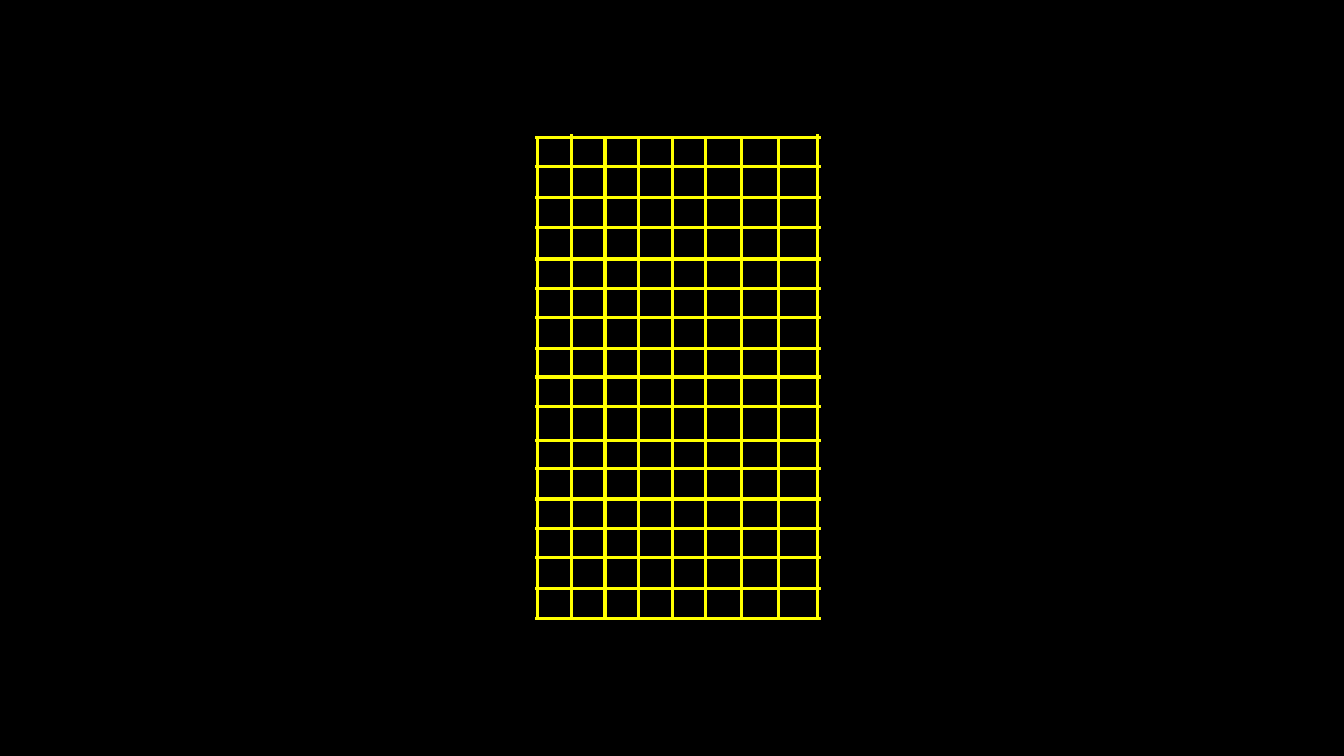
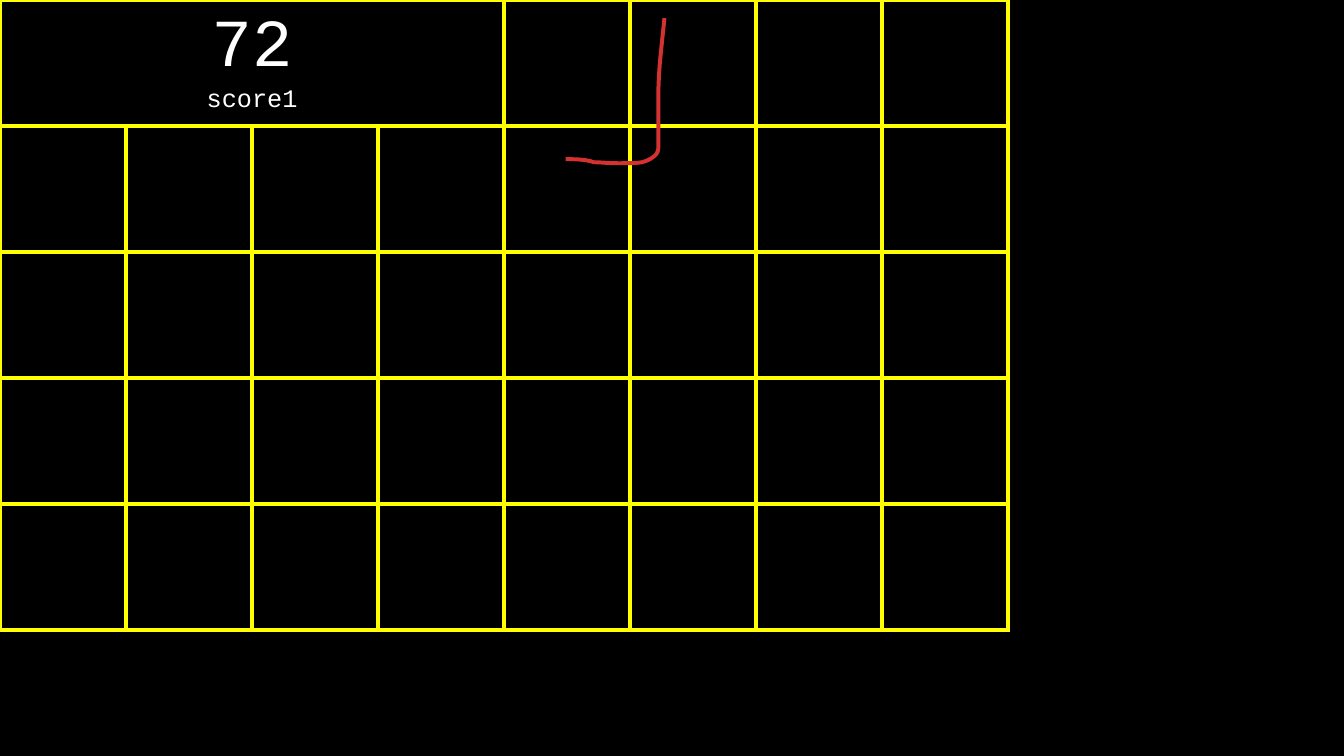
from lxml import etree
from pptx import Presentation
from pptx.dml.color import RGBColor
from pptx.enum.shapes import MSO_CONNECTOR
from pptx.enum.text import MSO_ANCHOR, PP_ALIGN
from pptx.oxml.ns import qn
from pptx.util import Inches, Pt

BLACK = RGBColor(0x00, 0x00, 0x00)
WHITE = RGBColor(0xFF, 0xFF, 0xFF)
YELLOW = RGBColor(0xFF, 0xFF, 0x00)
RED = RGBColor(0xD4, 0x32, 0x30)
FONT = "Courier New"
NO_TABLE_STYLE = "{2D5ABB26-0587-4C30-8999-92F81FD0307C}"

GRID_COLUMNS = [5.33, 5.67, 6, 6.33, 6.67, 7, 7.35, 7.72, 8.11]
GRID_ROWS = [1.36, 1.65, 1.96, 2.26, 2.57, 2.86, 3.15, 3.46, 3.74,
             4.03, 4.37, 4.65, 4.95, 5.24, 5.53, 5.84, 6.14]
GRID_LEFT, GRID_RIGHT = 5.31, 8.14
GRID_TOP, GRID_BOTTOM = 1.35, 6.15
RAISED_COLUMNS = {5.67: 0.02, 8.11: 0.02}

CELL = 1.25
BOARD_COLUMNS, BOARD_ROWS, SCORE_SPAN = 8, 5, 4

STROKE_START = (6.59, 0.18)
STROKE_CURVES = [
    ((6.58, 0.29), (6.55, 0.55), (6.54, 0.69)),
    ((6.53, 0.84), (6.53, 0.92), (6.53, 0.99)),
    ((6.53, 1.08), (6.53, 1.2), (6.53, 1.26)),
    ((6.53, 1.34), (6.53, 1.4), (6.53, 1.47)),
    ((6.53, 1.53), (6.47, 1.58), (6.37, 1.61)),
    ((6.3, 1.62), (6.22, 1.62), (6.14, 1.62)),
    ((6.04, 1.62), (5.95, 1.61), (5.89, 1.61)),
    ((5.84, 1.59), (5.75, 1.58), (5.67, 1.58)),
]
STROKE_END = (5.61, 1.58)


def bezier_points(start, curves, steps=8):
    """Sample a chain of cubic curves, leaving out its start point."""
    points = []
    for first, second, end in curves:
        for step in range(1, steps + 1):
            t = step / steps
            u = 1 - t
            points.append(tuple(
                u**3 * a + 3 * u * u * t * b + 3 * u * t * t * c + t**3 * d
                for a, b, c, d in zip(start, first, second, end)))
        start = end
    return points


class SlideWriter:
    def __init__(self):
        self.deck = Presentation()
        self.deck.slide_width = Inches(13.33)
        self.deck.slide_height = Inches(7.5)
        self.page = None

    def new_page(self):
        self.page = self.deck.slides.add_slide(self.deck.slide_layouts[6])
        fill = self.page.background.fill
        fill.solid()
        fill.fore_color.rgb = BLACK

    def line(self, x1, y1, x2, y2, color=YELLOW, width=2.25):
        connector = self.page.shapes.add_connector(
            MSO_CONNECTOR.STRAIGHT, Inches(x1), Inches(y1), Inches(x2), Inches(y2))
        connector.line.color.rgb = color
        connector.line.width = Pt(width)
        etree.SubElement(connector._element.spPr, qn("a:effectLst"))

    def stroke(self, start, points, color, width):
        """Draw an open, unfilled freehand line."""
        builder = self.page.shapes.build_freeform(*map(Inches, start))
        builder.add_line_segments(
            [(Inches(x), Inches(y)) for x, y in points], close=False)
        shape = builder.convert_to_shape()
        shape.shadow.inherit = False
        shape.fill.background()
        shape.line.color.rgb = color
        shape.line.width = Pt(width)

    def board(self, rows, columns, size):
        """Add a table of square, unfilled cells with coloured borders."""
        frame = self.page.shapes.add_table(
            rows, columns, 0, 0, Inches(columns * size), Inches(rows * size))
        table = frame.table
        table.first_row = table.horz_banding = False
        table._tbl.tblPr.find(qn("a:tableStyleId")).text = NO_TABLE_STYLE
        for cell in table.iter_cells():
            cell.fill.background()
            self.cell_borders(cell, YELLOW, 3)
        return table

    def cell_borders(self, cell, color, width):
        properties = cell._tc.get_or_add_tcPr()
        for index, side in enumerate(("lnL", "lnR", "lnT", "lnB")):
            border = etree.Element(qn(f"a:{side}"), w=str(Pt(width)))
            fill = etree.SubElement(border, qn("a:solidFill"))
            etree.SubElement(fill, qn("a:srgbClr"), val=str(color))
            properties.insert(index, border)

    def cell_text(self, cell, lines):
        cell.vertical_anchor = MSO_ANCHOR.MIDDLE
        cell.margin_left = cell.margin_right = Inches(0.1)
        cell.margin_top = cell.margin_bottom = Inches(0.1)
        frame = cell.text_frame
        for index, (text, size) in enumerate(lines):
            para = frame.add_paragraph() if index else frame.paragraphs[0]
            para.alignment = PP_ALIGN.CENTER
            span = para.add_run()
            span.text = text
            span.font.name = FONT
            span.font.size = Pt(size)
            span.font.color.rgb = WHITE


def add_grid_page(writer):
    writer.new_page()
    for x in GRID_COLUMNS:
        raised = RAISED_COLUMNS.get(x, 0)
        writer.line(x, GRID_TOP - raised, x, GRID_BOTTOM - raised)
    for y in GRID_ROWS:
        writer.line(GRID_LEFT, y, GRID_RIGHT, y)


def add_score_page(writer):
    writer.new_page()
    table = writer.board(BOARD_ROWS, BOARD_COLUMNS, CELL)
    score = table.cell(0, 0)
    score.merge(table.cell(0, SCORE_SPAN - 1))
    writer.cell_text(score, [("72", 48), ("score1", 18)])
    points = bezier_points(STROKE_START, STROKE_CURVES) + [STROKE_END]
    writer.stroke(STROKE_START, points, RED, 2.83)


def main():
    writer = SlideWriter()
    add_grid_page(writer)
    add_score_page(writer)
    writer.deck.save("out.pptx")


if __name__ == "__main__":
    main()
